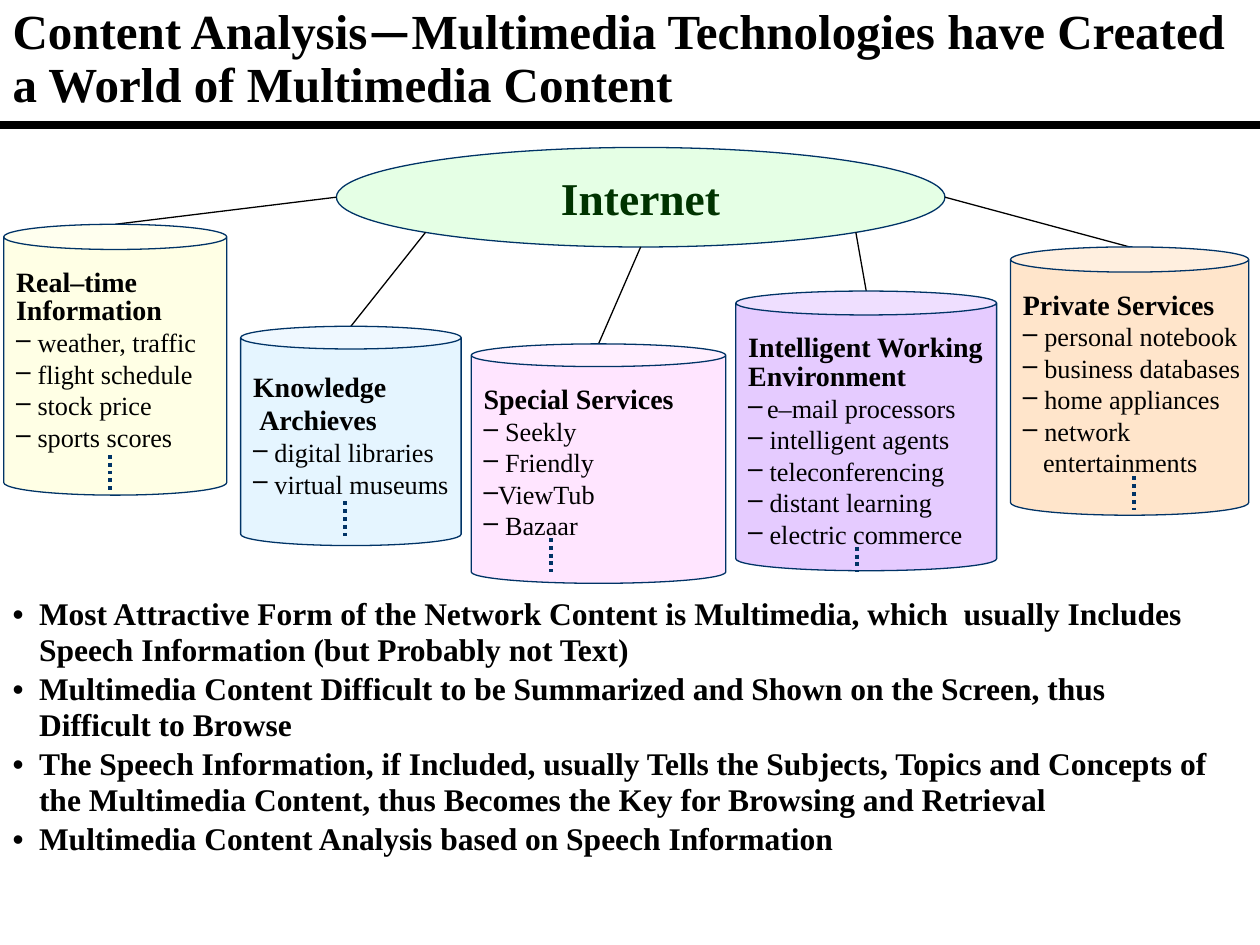
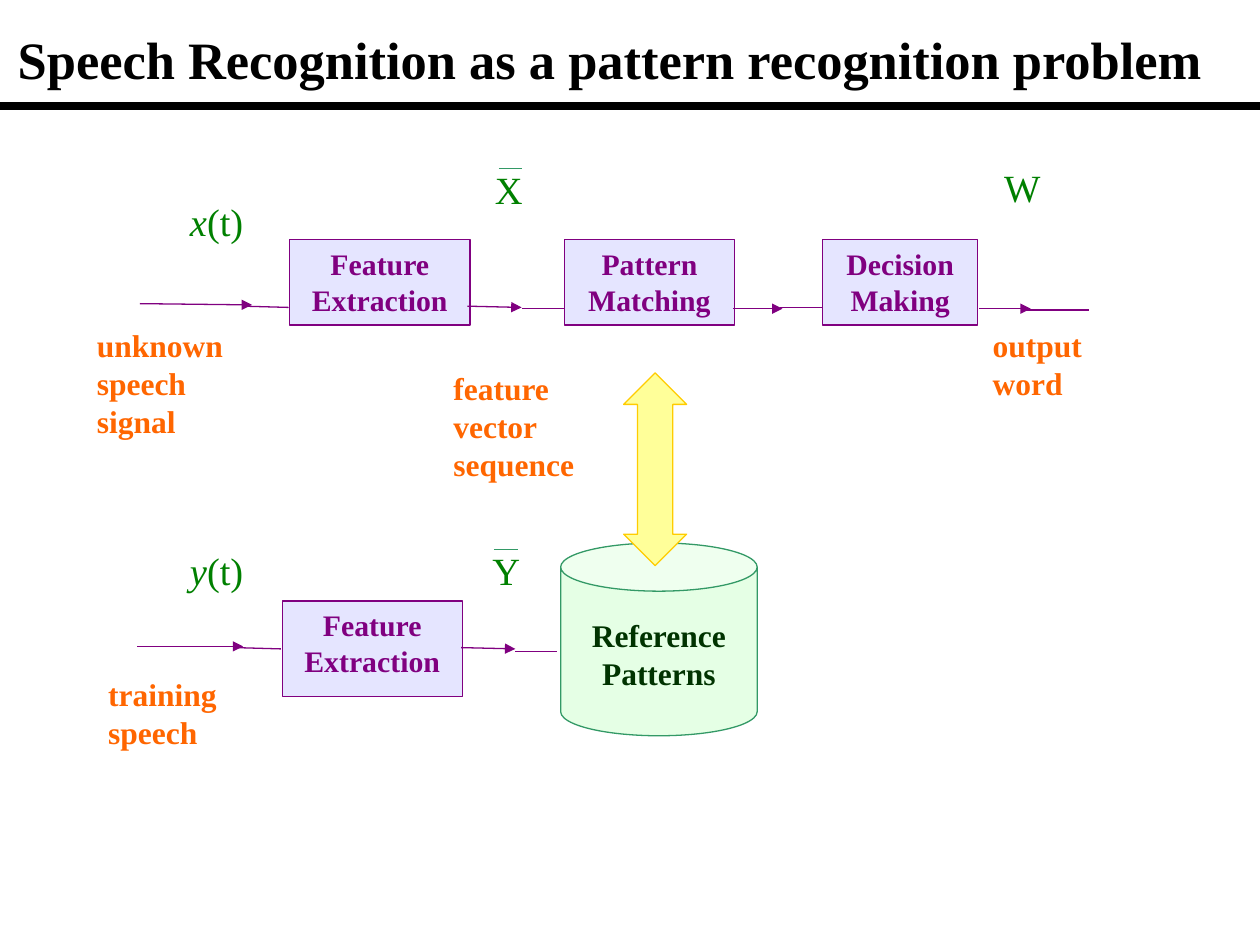
from math import cos, radians, sin

from lxml import etree
from pptx import Presentation
from pptx.dml.color import RGBColor
from pptx.enum import dml, shapes, text
from pptx.oxml.ns import qn
from pptx.util import Inches, Pt

FACE = "Times New Roman"
HUES = {
    "ink": "000000", "navy": "003366", "mint": "CCFFCC", "pine": "003300",
    "cream": "FFFFCC", "sky": "CCECFF", "pink": "FFCCFF", "mauve": "CC99FF",
    "peach": "FFCC99", "lilac": "CCCCFF", "plum": "800080", "green": "008000",
    "teal": "339966", "flame": "FF6600", "lemon": "FFFF99", "gold": "FFCC00",
}
KIND = shapes.MSO_SHAPE
LEFT, MID = text.PP_ALIGN.LEFT, text.PP_ALIGN.CENTER

# Slide 1: the web of services
WEB_HEAD = [("Content Analysis", FACE), ("—", "Calibri"),
            ("Multimedia Technologies have Created a World of Multimedia Content", FACE)]
POINTS = [
    "Most Attractive Form of the Network Content is Multimedia, which  usually Includes "
    "Speech Information (but Probably not Text)",
    "Multimedia Content Difficult to be Summarized and Shown on the Screen, thus "
    "Difficult to Browse",
    "The Speech Information, if Included, usually Tells the Subjects, Topics and Concepts of "
    "the Multimedia Content, thus Becomes the Key for Browsing and Retrieval",
    "Multimedia Content Analysis based on Speech Information",
]
NET = (2.67, 1.17, 4.83, 0.79)
GAP = 0.17  # from dash to item text
# box, lid height, fill, angle on the ellipse, dots (x, y, length), heads, items
CANS = [
    dict(box=(0.03, 1.78, 1.77, 2.15), lid=0.2, hue="cream", turn=180, dots=(0.87, 3.61, 0.28),
         heads=["Real–time", "Information"],
         items=["weather, traffic", "flight schedule", "stock price", "sports scores"]),
    dict(box=(1.91, 2.59, 1.75, 1.74), lid=0.18, hue="sky", turn=135, dots=(2.74, 3.98, 0.27),
         heads=["Knowledge", "Archieves"], lead=1, shift=0.05,
         items=["digital libraries", "virtual museums"]),
    dict(box=(3.74, 2.73, 2.02, 1.9), lid=0.18, hue="pink", turn=90, dots=(4.37, 4.27, 0.27),
         heads=["Special Services"],
         items=["Seekly", "Friendly", ("ViewTub", 0.11), "Bazaar"]),
    dict(box=(5.84, 2.31, 2.07, 2.22), lid=0.19, hue="mauve", turn=45, dots=(6.8, 4.34, 0.2),
         heads=["Intelligent Working", "Environment"],
         items=[("e–mail processors", 0.15), "intelligent agents", "teleconferencing",
                "distant learning", "electric commerce"]),
    dict(box=(8.02, 1.96, 1.89, 2.13), lid=0.2, hue="peach", turn=0, dots=(9, 3.78, 0.27),
         heads=["Private Services"], tail="entertainments",
         items=["personal notebook", "business databases", "home appliances", "network"]),
]

# Slide 2: the recognition flow
FLOW_HEAD = [("Speech Recognition as a pattern recognition problem", FACE)]
STEPS = [
    ("Feature Extraction", (2.3, 1.9, 1.43, 0.68)),
    ("Pattern Matching", (4.48, 1.9, 1.35, 0.68)),
    ("Decision Making", (6.53, 1.9, 1.23, 0.68)),
    ("Feature Extraction", (2.24, 4.77, 1.43, 0.76)),
]
# each path is an arrow, then a plain line on to the next part
PATHS = [
    ((1.11, 2.41, 2, 2.42), (1.93, 2.43, 2.29, 2.44)),
    ((3.71, 2.43, 4.14, 2.44), (4.14, 2.45, 4.48, 2.45)),
    ((5.82, 2.45, 6.21, 2.45), (6.19, 2.44, 6.53, 2.44)),
    ((7.77, 2.45, 8.18, 2.45), (8.14, 2.46, 8.64, 2.46)),
    ((1.09, 5.13, 1.93, 5.13), (1.87, 5.14, 2.23, 5.15)),
    ((3.66, 5.14, 4.09, 5.15), (4.09, 5.17, 4.42, 5.17)),
]
NOTES = [
    ("unknown speech signal", (0.67, 2.54, 1.38, 1.36)),
    ("output word", (7.78, 2.54, 1.02, 1.02)),
    ("feature vector sequence", (3.5, 2.88, 1.38, 1.36)),
    ("training speech", (0.76, 5.31, 1.39, 1.02)),
]
# italic part, upright part, box
SIGNS = [
    ("x", "(t)", (1.41, 1.52, 0.83, 1.02)), ("y", "(t)", (1.41, 4.29, 0.83, 1.02)),
    ("", "W", (7.87, 1.25, 0.55, 0.85)), ("", "X", (3.83, 1.27, 0.55, 0.85)),
    ("", "Y", (3.81, 4.29, 0.55, 0.85)),
]
BARS = [(3.96, 1.34, 4.14, 1.34), (3.92, 4.36, 4.11, 4.36)]
STORE = (4.45, 4.31, 1.56, 1.53)
SWAP = (4.95, 2.96, 0.5, 1.53)


def tint(name):
    return RGBColor.from_string(HUES[name])


def style(para, size, hue="ink", bold=True, align=LEFT, face=FACE):
    font = para.font
    font.name, font.size, font.bold = face, Pt(size), bold
    font.color.rgb = tint(hue)
    para.alignment = align


def inset(para, left, hang=0, mark=None):
    """Indent a paragraph and give it a bullet or none."""
    props = para._p.get_or_add_pPr()
    props.set("marL", str(Inches(left)))
    props.set("indent", str(-Inches(hang)))
    if mark:
        node = etree.Element(qn("a:buChar"), char=mark)
        first = props.find(qn("a:defRPr"))
        if first is None:
            props.append(node)
        else:
            first.addprevious(node)


def paras(frame, count):
    return [frame.paragraphs[0]] + [frame.add_paragraph() for _ in range(count - 1)]


def place(shape, box):
    shape.left, shape.top, shape.width, shape.height = map(Inches, box)


def line(slide, ends, hue="ink", width=0.75, dots=False, arrow=False):
    con = slide.shapes.add_connector(shapes.MSO_CONNECTOR.STRAIGHT, *map(Inches, ends))
    con.line.color.rgb = tint(hue)
    con.line.width = Pt(width)
    if dots:
        con.line.dash_style = dml.MSO_LINE.ROUND_DOT
    props = con.element.spPr
    if arrow:
        etree.SubElement(props.find(qn("a:ln")), qn("a:tailEnd"), type="triangle")
    etree.SubElement(props, qn("a:effectLst"))


def solid(slide, kind, box, fill, edge, clear=True, adjust=()):
    """Add a preset shape, half transparent when clear is set."""
    shape = slide.shapes.add_shape(kind, *map(Inches, box))
    shape.shadow.inherit = False
    shape.fill.solid()
    shape.fill.fore_color.rgb = tint(fill)
    if clear:
        paint = shape.element.spPr.find(qn("a:solidFill"))
        etree.SubElement(paint[0], qn("a:alpha"), val="50000")
    shape.line.color.rgb = tint(edge)
    shape.line.width = Pt(0.75)
    for spot, value in enumerate(adjust):
        shape.adjustments[spot] = value
    frame = shape.text_frame
    frame.word_wrap = True
    frame.vertical_anchor = text.MSO_ANCHOR.TOP
    return frame


def label(slide, box):
    frame = slide.shapes.add_textbox(*map(Inches, box)).text_frame
    frame.word_wrap = True
    return frame.paragraphs[0]


def start(deck, layout, head, box, size, rule, space=1.0):
    """Add a slide with its title and the thick rule below it."""
    slide = deck.slides.add_slide(deck.slide_layouts[layout])
    title = slide.shapes.title
    place(title, box)
    frame = title.text_frame
    frame.auto_size = text.MSO_AUTO_SIZE.NONE
    frame.vertical_anchor = text.MSO_ANCHOR.MIDDLE
    para = frame.paragraphs[0]
    style(para, size)
    para.line_spacing = space
    for words, face in head:
        run = para.add_run()
        run.text, run.font.name = words, face
    line(slide, (0, rule, 10, rule), width=4.5)
    return slide


def can(slide, box, lid, hue, turn, dots, heads, items, lead=0.85, shift=0, tail=None):
    x, y, wide, high = box
    nx, ny, nw, nh = NET
    angle = radians(turn)
    line(slide, (nx + nw / 2 * (1 + cos(angle)), ny + nh / 2 * (1 + sin(angle)),
                 x + wide / 2, y))
    frame = solid(slide, KIND.CAN, box, hue, "navy", adjust=[lid / min(wide, high)])
    frame.word_wrap = False
    frame.margin_top = Inches(0.16)
    rows = paras(frame, len(heads) + len(items) + bool(tail))
    for spot, (para, words) in enumerate(zip(rows, heads)):
        para.text = words
        style(para, 16)
        para.line_spacing = lead
        inset(para, shift * spot)
    for para, item in zip(rows[len(heads):], items):
        para.text, gap = item if isinstance(item, tuple) else (item, GAP)
        style(para, 15, bold=False)
        inset(para, gap, gap, "–")
    if tail:
        rows[-1].text = tail
        style(rows[-1], 15, bold=False)
        inset(rows[-1], 0.16)
    x, y, drop = dots
    line(slide, (x, y, x, y + drop), "navy", 2.25, dots=True)


def web(deck):
    slide = start(deck, 1, WEB_HEAD, (0, 0.08, 10, 0.79), 28, 0.99, 0.9)
    body = slide.placeholders[1]
    place(body, (0, 4.69, 9.8, 2.21))
    frame = body.text_frame
    frame.auto_size = text.MSO_AUTO_SIZE.NONE
    for para, words in zip(paras(frame, len(POINTS)), POINTS):
        para.text = words
        style(para, 18)
        para.line_spacing = 0.95
        para.space_before = Pt(1.8)
        inset(para, 0.21, 0.21, "•")
    frame = solid(slide, KIND.OVAL, NET, "mint", "navy")
    frame.vertical_anchor = text.MSO_ANCHOR.MIDDLE
    frame.text = "Internet"
    style(frame.paragraphs[0], 26, "pine", align=MID)
    for parts in CANS:
        can(slide, **parts)


def flow(deck):
    slide = start(deck, 5, FLOW_HEAD, (0.04, 0.12, 9.99, 0.69), 30, 0.84)
    for words, box in STEPS:
        frame = solid(slide, KIND.RECTANGLE, box, "lilac", "plum")
        frame.text = words
        style(frame.paragraphs[0], 17, "plum", align=MID)
    for arrow, rest in PATHS:
        line(slide, arrow, "plum", arrow=True)
        line(slide, rest, "plum")
    for words, box in NOTES:
        para = label(slide, box)
        para.text = words
        style(para, 18, "flame")
    for slant, plain, box in SIGNS:
        para = label(slide, box)
        style(para, 22, "green", bold=False)
        if slant:
            run = para.add_run()
            run.text, run.font.italic = slant, True
        para.add_run().text = plain
    for bar in BARS:
        line(slide, bar, "teal")
    frame = solid(slide, KIND.CAN, STORE, "mint", "teal", adjust=[0.25])
    frame.margin_top = Inches(0.2)
    frame.text = "Reference Patterns"
    style(frame.paragraphs[0], 18, "pine", align=MID)
    solid(slide, KIND.UP_DOWN_ARROW, SWAP, "lemon", "gold", False, [0.5, 0.56])


def main():
    deck = Presentation()
    deck.slide_width, deck.slide_height = Inches(10), Inches(7.5)
    web(deck)
    flow(deck)
    deck.save("out.pptx")


if __name__ == "__main__":
    main()
